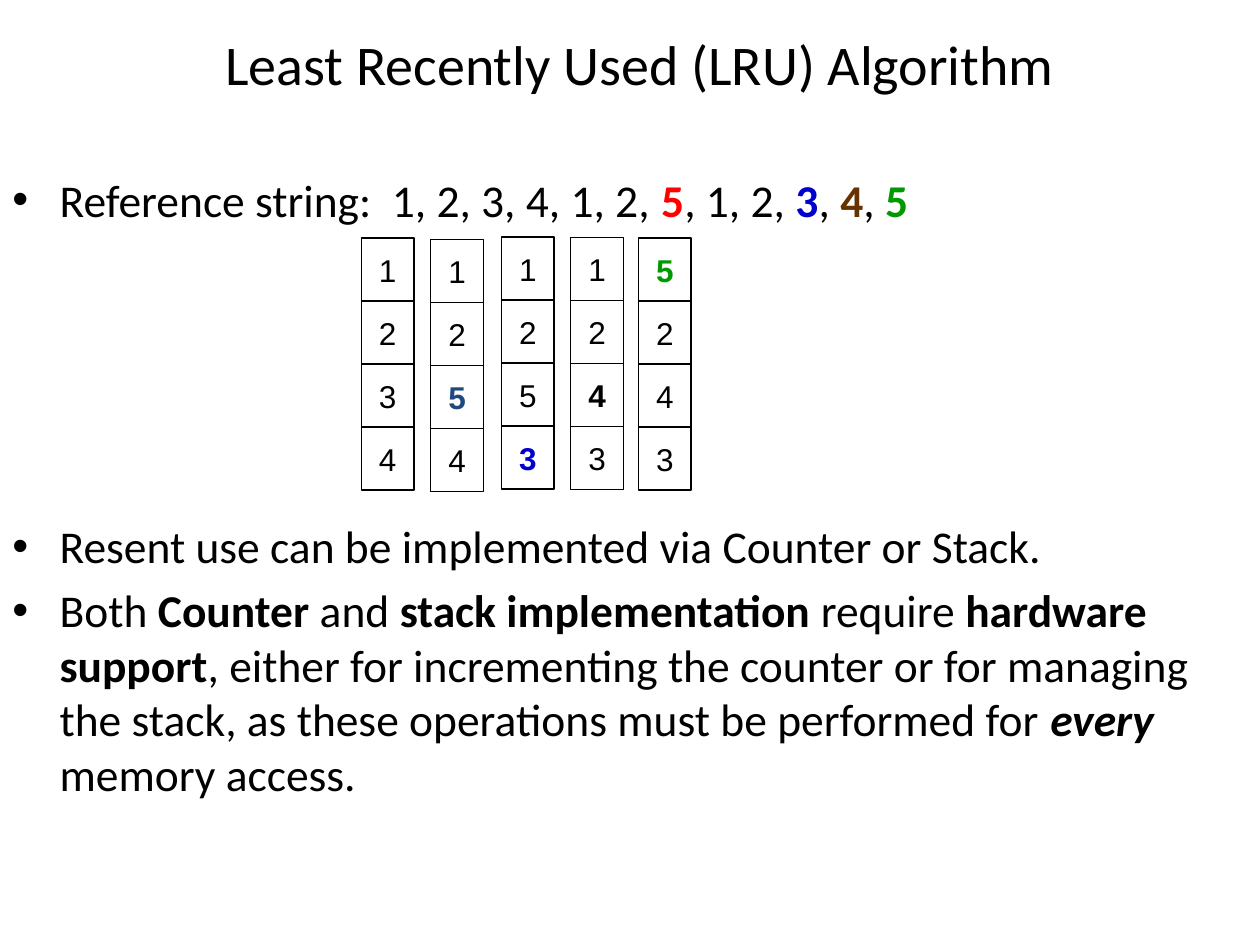
from dataclasses import dataclass

from lxml import etree
from pptx import Presentation
from pptx.dml.color import RGBColor
from pptx.enum.shapes import MSO_SHAPE
from pptx.enum.text import MSO_ANCHOR, PP_ALIGN
from pptx.oxml.ns import qn
from pptx.util import Pt

RECTANGLE = MSO_SHAPE.RECTANGLE
MIDDLE = MSO_ANCHOR.MIDDLE
CENTER = PP_ALIGN.CENTER

BLACK = RGBColor(0x00, 0x00, 0x00)
WHITE = RGBColor(0xFF, 0xFF, 0xFF)
RED = RGBColor(0xFF, 0x00, 0x00)
BLUE = RGBColor(0x00, 0x00, 0xCC)
BROWN = RGBColor(0x66, 0x33, 0x00)
GREEN = RGBColor(0x00, 0x99, 0x00)
NAVY = RGBColor(0x1F, 0x49, 0x7D)

FRAME_WIDTH = 30
FRAME_HEIGHT = 36
BULLET_INDENT = 27


@dataclass(frozen=True)
class Span:
    text: str
    color: RGBColor = BLACK
    bold: bool = False
    italic: bool = False


@dataclass(frozen=True)
class Bullet:
    spans: tuple[Span, ...]
    space_before: float = 0


@dataclass(frozen=True)
class MemoryState:
    """Page frames after a fault; the newly loaded page is highlighted."""
    left: float
    top: float
    pages: str
    loaded: int | None = None
    color: RGBColor = BLACK


BULLETS = (
    Bullet((
        Span("Reference string:  1, 2, 3, 4, 1, 2, "),
        Span("5", RED, bold=True),
        Span(", 1, 2, "),
        Span("3", BLUE, bold=True),
        Span(", "),
        Span("4", BROWN, bold=True),
        Span(", "),
        Span("5", GREEN, bold=True),
    )),
    # The wide gap leaves room for the memory states.
    Bullet((Span("Resent use can be implemented via Counter or Stack."),), 167),
    Bullet((
        Span("Both "),
        Span("Counter", bold=True),
        Span(" and "),
        Span("stack implementation ", bold=True),
        Span("require "),
        Span("hardware support", bold=True),
        Span(", either for incrementing the counter or for managing the stack, "
             "as these operations must be performed for "),
        Span("every", bold=True, italic=True),
        Span(" memory access."),
    ), 5.2),
)

MEMORY_STATES = (
    MemoryState(206.6, 136.1, "1234"),
    MemoryState(246.2, 136.8, "1254", 2, NAVY),
    MemoryState(286.6, 135.4, "1253", 3, BLUE),
    MemoryState(326.2, 135.6, "1243", 2),
    MemoryState(365, 136.1, "5243", 0, GREEN),
)


def add_span(para, span: Span, font_name: str, size: float) -> None:
    run = para.add_run()
    run.text = span.text
    formats = {"name": font_name, "size": Pt(size),
               "bold": span.bold, "italic": span.italic}
    for name, value in formats.items():
        setattr(run.font, name, value)
    run.font.color.rgb = span.color


def add_bullet_mark(para) -> None:
    """Give the paragraph a hanging indent and a round bullet."""
    properties = para._p.get_or_add_pPr()
    properties.set("marL", str(Pt(BULLET_INDENT)))
    properties.set("indent", str(-Pt(BULLET_INDENT)))
    etree.SubElement(properties, qn("a:buFont")).set("typeface", "Arial")
    etree.SubElement(properties, qn("a:buChar")).set("char", "•")


def add_title(page, text: str) -> None:
    box = page.shapes.add_textbox(Pt(41.8), Pt(0), Pt(648), Pt(72))
    frame = box.text_frame
    frame.word_wrap = True
    frame.vertical_anchor = MIDDLE
    para = frame.paragraphs[0]
    para.alignment = CENTER
    add_span(para, Span(text), "Calibri", 32)


def add_body(page, bullets: tuple[Bullet, ...]) -> None:
    box = page.shapes.add_textbox(Pt(0), Pt(94.5), Pt(720), Pt(422))
    frame = box.text_frame
    frame.word_wrap = True
    for index, bullet in enumerate(bullets):
        para = frame.add_paragraph() if index else frame.paragraphs[0]
        add_bullet_mark(para)
        if bullet.space_before:
            para.space_before = Pt(bullet.space_before)
        for span in bullet.spans:
            add_span(para, span, "Calibri", 26)


def add_memory_state(page, state: MemoryState) -> None:
    for row, number in enumerate(state.pages):
        box = page.shapes.add_shape(
            RECTANGLE, Pt(state.left), Pt(state.top + row * FRAME_HEIGHT),
            Pt(FRAME_WIDTH), Pt(FRAME_HEIGHT))
        box.shadow.inherit = False
        box.fill.solid()
        box.fill.fore_color.rgb = WHITE
        box.line.color.rgb = BLACK
        box.line.width = Pt(0.75)
        frame = box.text_frame
        frame.word_wrap = False
        frame.vertical_anchor = MIDDLE
        para = frame.paragraphs[0]
        para.alignment = CENTER
        is_loaded = row == state.loaded
        color = state.color if is_loaded else BLACK
        add_span(para, Span(number, color, bold=is_loaded), "Arial", 18)


def main() -> None:
    deck = Presentation()
    deck.slide_width = Pt(720)
    deck.slide_height = Pt(540)
    page = deck.slides.add_slide(deck.slide_layouts[6])
    add_title(page, "Least Recently Used (LRU) Algorithm")
    add_body(page, BULLETS)
    for state in MEMORY_STATES:
        add_memory_state(page, state)
    deck.save("out.pptx")


if __name__ == "__main__":
    main()
